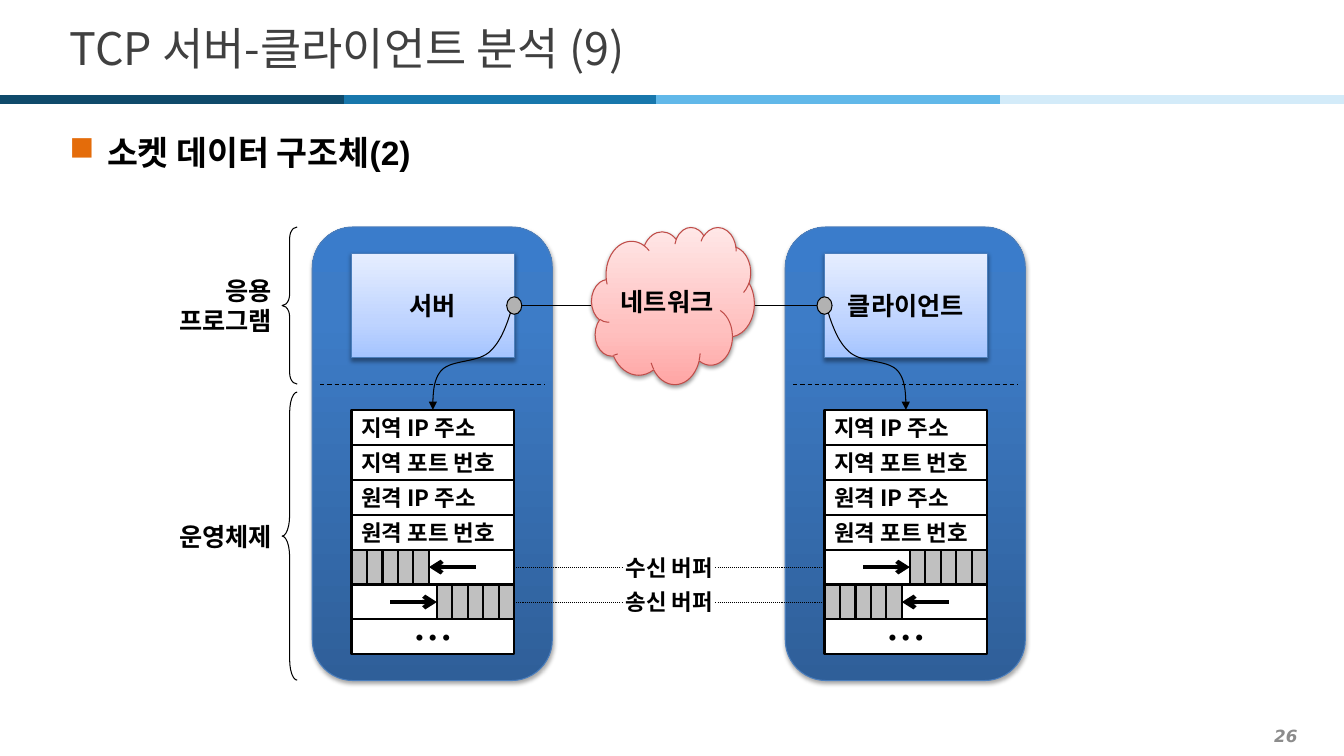
from dataclasses import dataclass
from typing import Any, Optional

import lxml.etree
import pptx
import pptx.dml.color
import pptx.enum.dml
import pptx.enum.shapes
import pptx.enum.text
import pptx.oxml.ns
import pptx.util

Cm = pptx.util.Cm
Pt = pptx.util.Pt
qn = pptx.oxml.ns.qn
SHAPE = pptx.enum.shapes.MSO_SHAPE
DASH = pptx.enum.dml.MSO_LINE
ALIGN = pptx.enum.text.PP_ALIGN
Stops = tuple[tuple[int, str], ...]


@dataclass(frozen=True)
class Theme:
    font: str = "Noto Sans CJK KR"
    heading_font: str = "Arial"
    dots_font: str = "Times New Roman"
    page_font: str = "DejaVu Sans"
    black: str = "000000"
    white: str = "FFFFFF"
    title: str = "404040"
    bullet: str = "E46C0A"
    page: str = "8C8C8C"
    socket: str = "B2B2B2"
    cell: str = "C0C0C0"
    blue_edge: str = "4B7EBC"
    red_edge: str = "BF4C48"
    ribbon: tuple[str, ...] = ("0F4A6B", "1877AC", "61B8E9", "D3EBF9")
    host: Stops = ((0, "2F5F99"), (80, "3D7CC7"), (100, "3A7CCB"))
    program: Stops = ((0, "A4C4FF"), (35, "BFD4FF"), (100, "E6EEFF"))
    cloud: Stops = ((0, "FFA6A5"), (35, "FFC0BF"), (100, "FFE7E7"))
    title_size: int = 32
    heading_size: int = 24
    label_size: int = 18
    row_size: int = 16
    page_size: int = 12


@dataclass(frozen=True)
class Box:
    left: float
    top: float
    width: float
    height: float


@dataclass(frozen=True)
class Host:
    name: str
    left: float
    cells_on_left: tuple[bool, bool]  # receive buffer, send buffer
    side: int  # +1 when the socket is on the right edge, -1 on the left


@dataclass(frozen=True)
class Layer:
    name: str
    top: float
    height: float
    bend: float


THEME = Theme()
HOSTS = (Host("서버", 7.87, (True, False), 1),
         Host("클라이언트", 19.79, (False, True), -1))
LAYERS = (Layer("응용 프로그램", 5.72, 3.96, 0.75), Layer("운영체제", 9.88, 7.26, 1.38))
FIELDS = ("지역 IP 주소", "지역 포트 번호", "원격 IP 주소", "원격 포트 번호")
BUFFERS = ("수신 버퍼", "송신 버퍼")
RIBBON_EDGES = (0, 8.66, 16.53, 25.2, 33.87)
RECORD_INSET, RECORD_TOP, RECORD_WIDTH, ROW = 0.99, 10.33, 4.1, 0.88
CELL, CELL_COUNT, ARROW = 0.39, 5, 1.18
SOCKET_Y = 7.7
# Joined cubic curves: offset from the record's centre, and height
CURVE = ((1.96, 7.87), (1.83, 8.28), (1.68, 8.66), (1.4, 8.89), (1.09, 9.14),
         (0.48, 9.07), (0.23, 9.32), (0, 9.55), (0, 9.96), (0, RECORD_TOP))


def rgb(colour: str) -> pptx.dml.color.RGBColor:
    return pptx.dml.color.RGBColor.from_string(colour)


def add_xml(parent: Any, tag: str, **attributes: str) -> Any:
    return lxml.etree.SubElement(parent, qn(tag), attributes)


def write(shape: Any, text: str, size: int, colour: str = THEME.black, font: str = THEME.font,
          bold: bool = True, italic: bool = False, align: Any = ALIGN.CENTER,
          wrap: bool = False) -> Any:
    frame = shape.text_frame
    frame.word_wrap = wrap
    frame.vertical_anchor = pptx.enum.text.MSO_ANCHOR.MIDDLE
    paragraph = frame.paragraphs[0]
    paragraph.alignment = align
    run = paragraph.add_run()
    run.text = text
    run.font.name, run.font.size = font, Pt(size)
    run.font.bold, run.font.italic = bold, italic
    run.font.color.rgb = rgb(colour)
    add_xml(run.font._element, "a:ea", typeface=THEME.font)
    return paragraph


def add_text(slide: Any, box: Box) -> Any:
    return slide.shapes.add_textbox(Cm(box.left), Cm(box.top), Cm(box.width), Cm(box.height))


def add_shape(slide: Any, kind: Any, box: Box, fill: Optional[str] = None,
              line: Optional[str] = THEME.black, width: float = 0.75) -> Any:
    shape = slide.shapes.add_shape(kind, Cm(box.left), Cm(box.top), Cm(box.width), Cm(box.height))
    shape.shadow.inherit = False
    if fill:
        shape.fill.solid()
        shape.fill.fore_color.rgb = rgb(fill)
    else:
        shape.fill.background()
    if line:
        shape.line.color.rgb = rgb(line)
        shape.line.width = Pt(width)
    else:
        shape.line.fill.background()
    return shape


def add_raised(slide: Any, kind: Any, box: Box, stops: Stops, line: str, opacity: int) -> Any:
    """Add a shape with a vertical gradient and a soft shadow below."""
    shape = add_shape(slide, kind, box, line=line)
    shape.fill.gradient()
    shape.fill.gradient_angle = 90
    properties = shape._element.spPr
    stop_list = properties.find(qn("a:gradFill")).find(qn("a:gsLst"))
    stop_list.clear()
    for position, colour in stops:
        stop = add_xml(stop_list, "a:gs", pos=str(position * 1000))
        add_xml(stop, "a:srgbClr", val=colour)
    shadow = add_xml(properties.find(qn("a:effectLst")), "a:outerShdw", blurRad=str(Pt(3.1)),
                     dist=str(Pt(1.7)), dir="5400000", rotWithShape="0")
    add_xml(add_xml(shadow, "a:srgbClr", val=THEME.black), "a:alpha", val=str(opacity * 1000))
    return shape


def add_arrowhead(shape: Any, kind: str) -> None:
    add_xml(shape._element.spPr.find(qn("a:ln")), "a:tailEnd", type=kind)


def add_line(slide: Any, start: float, end: float, y: float, colour: str = THEME.black,
             width: float = 0.75, dash: Any = None) -> Any:
    line = slide.shapes.add_connector(pptx.enum.shapes.MSO_CONNECTOR.STRAIGHT,
                                      Cm(start), Cm(y), Cm(end), Cm(y))
    line.line.color.rgb = rgb(colour)
    line.line.width = Pt(width)
    if dash:
        line.line.dash_style = dash
    add_xml(line._element.spPr, "a:effectLst")
    return line


def add_socket_curve(slide: Any, centre: float, side: int, steps: int = 16) -> None:
    points = [(Cm(centre + side * x), Cm(y)) for x, y in CURVE]
    builder = slide.shapes.build_freeform(*points[0], scale=1.0)
    for first in range(0, len(points) - 1, 3):
        for t in (step / steps for step in range(1, steps + 1)):
            weights = ((1 - t) ** 3, 3 * t * (1 - t) ** 2, 3 * t * t * (1 - t), t ** 3)
            x, y = (round(sum(weight * value for weight, value in zip(weights, values)))
                    for values in zip(*points[first:first + 4]))
            builder.add_line_segments([(x, y)], close=False)
    curve = builder.convert_to_shape()
    curve.shadow.inherit = False
    curve.fill.background()
    curve.line.color.rgb = rgb(THEME.black)
    curve.line.width = Pt(0.75)
    add_arrowhead(curve, "triangle")


def add_buffer(slide: Any, left: float, top: float, cells_on_left: bool) -> Any:
    row = add_shape(slide, SHAPE.RECTANGLE, Box(left, top, RECORD_WIDTH, ROW), THEME.white, width=1.5)
    block = CELL * CELL_COUNT
    start = left if cells_on_left else left + RECORD_WIDTH - block
    cells = [add_shape(slide, SHAPE.RECTANGLE, Box(start + index * CELL, top, CELL, ROW),
                       THEME.cell, width=1.5) for index in range(CELL_COUNT)]
    tip = start + block if cells_on_left else start
    tail = tip + ARROW if cells_on_left else tip - ARROW
    arrow = add_line(slide, tail, tip, top + ROW / 2, width=3)
    arrow.end_connect(cells[-1] if cells_on_left else cells[0], 3 if cells_on_left else 1)
    add_arrowhead(arrow, "arrow")
    return row


def add_host(slide: Any, host: Host) -> tuple[Any, list[Any]]:
    """Draw one computer; return its program box and its buffer rows."""
    panel = add_raised(slide, SHAPE.ROUNDED_RECTANGLE, Box(host.left, 5.72, 6.05, 11.43),
                       THEME.host, THEME.blue_edge, 35)
    panel.adjustments[0] = 0.17
    left = host.left + RECORD_INSET
    program = add_raised(slide, SHAPE.RECTANGLE, Box(left, 6.38, RECORD_WIDTH, 2.64),
                         THEME.program, THEME.blue_edge, 38)
    write(program, host.name, THEME.label_size)
    add_line(slide, host.left + 0.2, host.left + 5.87, 9.68, dash=DASH.DASH)
    for index, field in enumerate((*FIELDS, *BUFFERS, "• • •")):
        if field in BUFFERS:
            continue
        row = add_shape(slide, SHAPE.RECTANGLE,
                        Box(left, RECORD_TOP + index * ROW, RECORD_WIDTH, ROW), THEME.white, width=1.5)
        is_field = field in FIELDS
        write(row, field, THEME.row_size, font=THEME.font if is_field else THEME.dots_font,
              align=ALIGN.LEFT if is_field else ALIGN.CENTER)
    buffers = [add_buffer(slide, left, RECORD_TOP + index * ROW, on_left)
               for index, on_left in enumerate(host.cells_on_left, len(FIELDS))]
    return program, buffers


def add_network(slide: Any, programs: list[Any]) -> None:
    link = add_line(slide, 12.96, 20.78, SOCKET_Y)
    link.begin_connect(programs[0], 3)
    link.end_connect(programs[1], 1)
    for host in HOSTS:
        centre = host.left + RECORD_INSET + RECORD_WIDTH / 2
        socket_x = centre + host.side * RECORD_WIDTH / 2
        add_shape(slide, SHAPE.OVAL, Box(socket_x - 0.19, SOCKET_Y - 0.22, 0.38, 0.44), THEME.socket)
        add_socket_curve(slide, centre, host.side)
    cloud = add_raised(slide, SHAPE.CLOUD, Box(14.91, 5.72, 4.1, 3.96), THEME.cloud, THEME.red_edge, 38)
    write(cloud, "네트워크", THEME.label_size)


def add_buffer_labels(slide: Any, server_rows: list[Any], client_rows: list[Any]) -> None:
    for index, (name, server, client) in enumerate(zip(BUFFERS, server_rows, client_rows), len(FIELDS)):
        top = RECORD_TOP + index * ROW
        label = add_shape(slide, SHAPE.RECTANGLE, Box(14.91, top, 3.91, ROW), THEME.white, None)
        write(label, name, THEME.row_size)
        middle = top + ROW / 2
        add_line(slide, 12.96, 15.7, middle, dash=DASH.ROUND_DOT).begin_connect(server, 3)
        add_line(slide, 18.03, 20.78, middle, dash=DASH.ROUND_DOT).end_connect(client, 1)


def add_layer(slide: Any, layer: Layer) -> None:
    brace = add_shape(slide, SHAPE.LEFT_BRACE, Box(7.11, layer.top, 0.38, layer.height))
    brace.adjustments[0] = layer.bend
    middle = layer.top + layer.height / 2
    label = add_text(slide, Box(3.4, middle - 0.45, 3.7, 0.9))
    write(label, layer.name, THEME.label_size, align=ALIGN.RIGHT, wrap=True)


def add_headings(slide: Any) -> None:
    for start, end, colour in zip(RIBBON_EDGES, RIBBON_EDGES[1:], THEME.ribbon):
        add_line(slide, start, end, 2.51, colour, 6)
    title = slide.shapes.title
    title.left, title.top, title.width, title.height = Cm(1.5), Cm(0.33), Cm(31), Cm(1.73)
    write(title, "TCP 서버-클라이언트 분석 (9)", THEME.title_size, THEME.title,
          bold=False, align=ALIGN.LEFT, wrap=True)
    heading = add_text(slide, Box(1.5, 3, 31.14, 1.75))
    paragraph = write(heading, "소켓 데이터 구조체(2)", THEME.heading_size,
                      font=THEME.heading_font, align=ALIGN.LEFT, wrap=True)
    heading.text_frame.vertical_anchor = pptx.enum.text.MSO_ANCHOR.TOP
    properties = paragraph._p.get_or_add_pPr()
    properties.set("marL", str(Cm(0.95)))
    properties.set("indent", str(Cm(-0.95)))
    add_xml(add_xml(properties, "a:buClr"), "a:srgbClr", val=THEME.bullet)
    add_xml(properties, "a:buChar", char="■")
    paragraph.line_spacing = 1.2
    paragraph.space_after = Pt(2)
    page = add_text(slide, Box(0.5, 18.14, 32.45, 0.8))
    write(page, "26", THEME.page_size, THEME.page, THEME.page_font, italic=True,
          align=ALIGN.RIGHT, wrap=True)


def main() -> None:
    presentation = pptx.Presentation()
    presentation.slide_width, presentation.slide_height = Cm(33.87), Cm(19.05)
    slide = presentation.slides.add_slide(presentation.slide_layouts[5])
    add_headings(slide)
    programs, buffers = zip(*(add_host(slide, host) for host in HOSTS))
    add_network(slide, programs)
    add_buffer_labels(slide, *buffers)
    for layer in LAYERS:
        add_layer(slide, layer)
    presentation.save("out.pptx")


if __name__ == "__main__":
    main()
